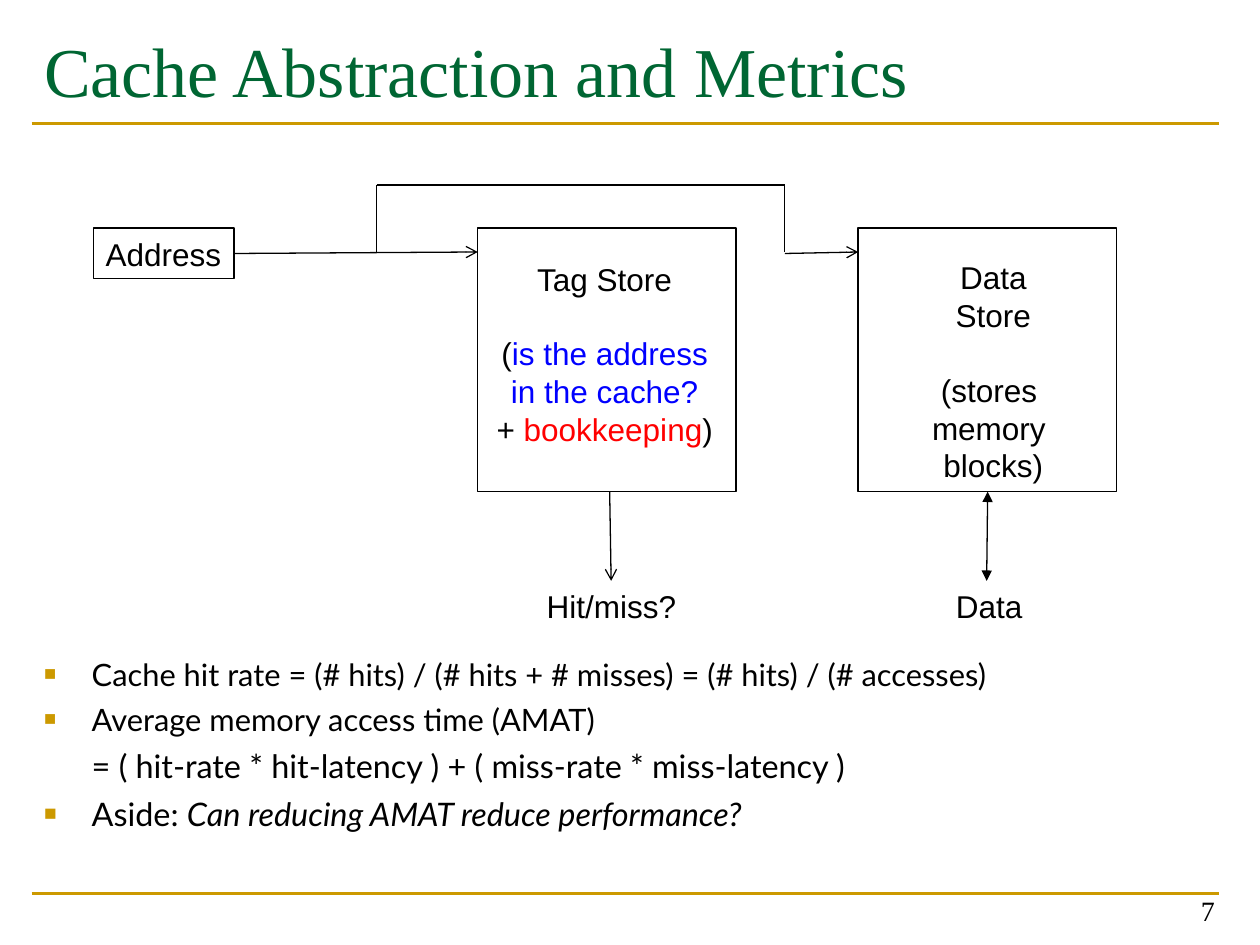
from lxml import etree
from pptx import Presentation
from pptx.dml.color import RGBColor
from pptx.enum.shapes import MSO_CONNECTOR, MSO_SHAPE
from pptx.enum.text import MSO_ANCHOR, MSO_AUTO_SIZE, PP_ALIGN
from pptx.oxml.ns import qn
from pptx.util import Cm, Pt

LEFT, CENTER, RIGHT = PP_ALIGN.LEFT, PP_ALIGN.CENTER, PP_ALIGN.RIGHT
TOP, BOTTOM = MSO_ANCHOR.TOP, MSO_ANCHOR.BOTTOM
GROW, FIXED = MSO_AUTO_SIZE.SHAPE_TO_FIT_TEXT, MSO_AUTO_SIZE.NONE
RECT, STRAIGHT = MSO_SHAPE.RECTANGLE, MSO_CONNECTOR.STRAIGHT

THEME = {
    "title": ("Times New Roman", 40, "006633"),
    "number": ("Times New Roman", 16, "000000"),
    "label": ("Arial", 18, "000000"),
    "body": ("Lato", 17.6, "000000"),
    "formula": ("Lato", 18.5, "000000"),
    "bullet_font": "Arial",
    "gold": "CC9900", "ink": "000000", "blue": "0000FF", "red": "FF0000",
    "rule_pt": 1.5, "line_pt": 0.75,
}

# Content: a paragraph is a list of (text, colour key or None) runs
TITLE = [[("Cache Abstraction and Metrics", None)]]
NUMBER = [[("7", None)]]
ADDRESS = [[("Address", None)]]
TAG_STORE = [
    [("Tag Store", None)],
    [("(", None), ("is the address", "blue")],
    [("in the cache?", "blue")],
    [("+ ", None), ("bookkeeping", "red"), (")", None)],
]
DATA_STORE = [[(t, None)] for t in ("Data Store", "(stores ", "memory ", "blocks)")]
HIT_MISS = [[("Hit/miss?", None)]]
DATA = [[("Data", None)]]

# Style, bulleted, space before, (text, italic) runs
METRICS = [
    ("body", True, 0, [("Cache hit rate = (# hits) / (# hits + # misses) = (# hits) / (# accesses)", False)]),
    ("body", True, 4.8, [("Average memory access time (AMAT)", False)]),
    ("formula", False, 5, [("= ( hit-rate * hit-latency ) + ( miss-rate * miss-latency )", False)]),
    ("formula", True, 5, [("Aside: ", False), ("Can reducing AMAT reduce performance?", True)]),
]

# Layout in centimetres
MARGIN, WIDTH = 0.64, 23.93
RULES_Y = (18.01, 2.49)
BOX_Y, BOX_W, BOX_H = 4.6, 5.21, 5.31
TAG_X, DATA_X = 9.63, 17.3
BOX_BOTTOM = BOX_Y + BOX_H
ADDRESS_X, ADDRESS_W, LABEL_H = 1.88, 2.84, 1.02
WIRE_Y, BYPASS_Y, OUTPUT_Y = 5.08, 3.73, 11.71
BRANCH_X, DROP_X = 7.59, 15.82
TITLE_GAP = 21  # one line between a store's name and its description

# From, to, arrowhead at start, arrowhead at end
WIRES = [
    ((ADDRESS_X + ADDRESS_W, WIRE_Y + 0.03), (TAG_X, WIRE_Y), None, "arrow"),
    ((BRANCH_X, WIRE_Y), (BRANCH_X, BYPASS_Y), None, None),
    ((BRANCH_X, BYPASS_Y), (DROP_X, BYPASS_Y), None, None),
    ((DROP_X, BYPASS_Y), (DROP_X, WIRE_Y), None, None),
    ((DROP_X, WIRE_Y + 0.03), (DATA_X, WIRE_Y), None, "arrow"),
    ((12.29, BOX_BOTTOM), (12.32, OUTPUT_Y), None, "arrow"),
    ((19.91, BOX_BOTTOM), (19.89, OUTPUT_Y), "triangle", "triangle"),
]

prs = Presentation()
prs.slide_width, prs.slide_height = Cm(25.4), Cm(19.05)
s = prs.slides.add_slide(prs.slide_layouts[6])


def rgb(key):
    return RGBColor.from_string(THEME[key])


def add_run(p, text, style, color=None, italic=False):
    r = p.add_run()
    r.text = text
    name, size, ink = THEME[style]
    r.font.name, r.font.size, r.font.italic = name, Pt(size), italic
    r.font.color.rgb = rgb(color) if color else RGBColor.from_string(ink)


def paragraphs(tf, items):
    for i, item in enumerate(items):
        yield (tf.add_paragraph() if i else tf.paragraphs[0]), item


def set_frame(tf, wrap, anchor=TOP, pad_y=0.13):
    tf.word_wrap, tf.vertical_anchor = wrap, anchor
    tf.auto_size = FIXED if wrap else GROW  # unwrapped labels fit their text
    tf.margin_left = tf.margin_right = Cm(0.25)
    tf.margin_top = tf.margin_bottom = Cm(pad_y)


def add_text(box, content, style="label", align=LEFT, wrap=False, anchor=TOP, gap=0):
    sp = s.shapes.add_textbox(*map(Cm, box))
    set_frame(sp.text_frame, wrap, anchor)
    for i, (p, runs) in enumerate(paragraphs(sp.text_frame, content)):
        p.alignment = align
        if i == 1:
            p.space_before = Pt(gap)
        for text, color in runs:
            add_run(p, text, style, color)


def add_box(x, y, w, h):
    sp = s.shapes.add_shape(RECT, Cm(x), Cm(y), Cm(w), Cm(h))
    sp.shadow.inherit = False
    sp.fill.background()
    sp.line.color.rgb, sp.line.width = rgb("ink"), Pt(THEME["line_pt"])


def add_line(start, end, color="ink", width="line_pt", head=None, tail=None):
    line = s.shapes.add_connector(STRAIGHT, *map(Cm, start + end))
    line.line.color.rgb, line.line.width = rgb(color), Pt(THEME[width])
    for tag, kind in (("a:headEnd", head), ("a:tailEnd", tail)):
        if kind:
            etree.SubElement(line.line._get_or_add_ln(), qn(tag), type=kind)
    etree.SubElement(line._element.spPr, qn("a:effectLst"))


def add_bullet(pPr):
    color = etree.SubElement(pPr, qn("a:buClr"))
    etree.SubElement(color, qn("a:srgbClr"), val=THEME["gold"])
    etree.SubElement(pPr, qn("a:buSzPct"), val="65000")
    etree.SubElement(pPr, qn("a:buFont"), typeface=THEME["bullet_font"])
    etree.SubElement(pPr, qn("a:buChar"), char="■")


# Frame: rules, title and slide number
for y in RULES_Y:
    add_line((MARGIN, y), (MARGIN + WIDTH, y), "gold", "rule_pt")
add_text((MARGIN, 0.43, WIDTH, 1.9), TITLE, "title", wrap=True)
add_text((18.82, 17.55, 5.92, 1.27), NUMBER, "number", RIGHT, True, BOTTOM)

# Cache diagram
add_box(ADDRESS_X, BOX_Y, ADDRESS_W, LABEL_H)
for x in (TAG_X, DATA_X):
    add_box(x, BOX_Y, BOX_W, BOX_H)
add_text((ADDRESS_X, BOX_Y, ADDRESS_W, LABEL_H), ADDRESS)
add_text((9.55, 5.11, 5.28, 4.06), TAG_STORE, align=CENTER, wrap=True, gap=TITLE_GAP)
add_text((18.26, 5.08, 3.53, 4.06), DATA_STORE, align=CENTER, gap=TITLE_GAP)
add_text((10.77, OUTPUT_Y, 3.12, LABEL_H), HIT_MISS)
add_text((19.02, OUTPUT_Y, 1.85, LABEL_H), DATA)
for start, end, head, tail in WIRES:
    add_line(start, end, head=head, tail=tail)

# Metrics list
body = s.shapes.add_textbox(Cm(MARGIN), Cm(13.21), Cm(WIDTH), Cm(3.96))
set_frame(body.text_frame, True, pad_y=0)
for p, (style, bulleted, before, runs) in paragraphs(body.text_frame, METRICS):
    pPr = p._p.get_or_add_pPr()
    pPr.set("marL", str(Cm(0.96)))
    pPr.set("indent", str(-Cm(0.96) if bulleted else 0))
    if bulleted:
        add_bullet(pPr)
    p.space_before = Pt(before)
    for text, italic in runs:
        add_run(p, text, style, italic=italic)

prs.save("out.pptx")
